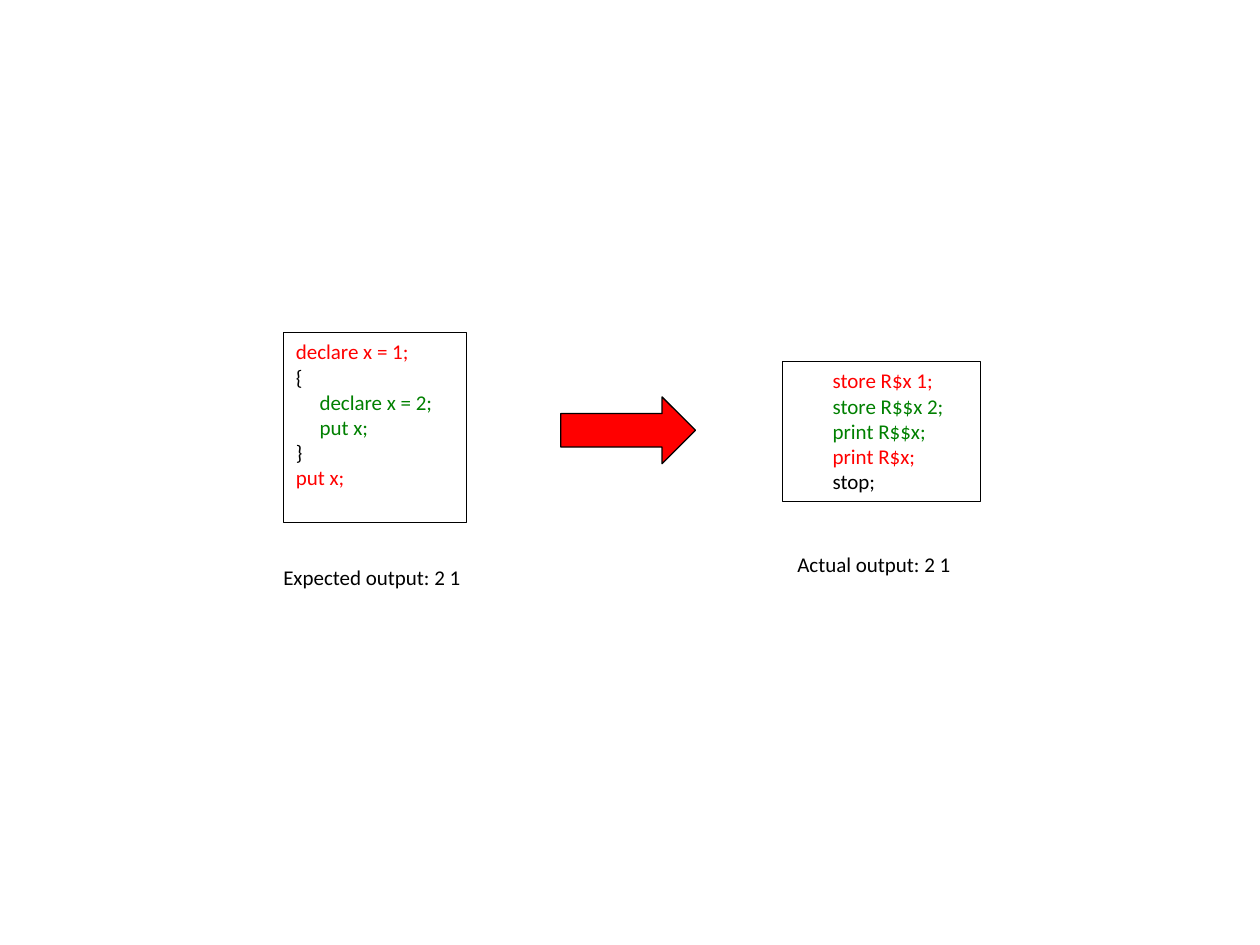
"""Build a slide showing a scoped program, its translation and both outputs."""
from pptx import Presentation
from pptx.dml.color import RGBColor
from pptx.enum.shapes import MSO_SHAPE as SHAPE
from pptx.enum.text import MSO_ANCHOR as ANCHOR, PP_ALIGN as ALIGN
from pptx.util import Inches, Pt

RED = RGBColor(0xFF, 0x00, 0x00)
GREEN = RGBColor(0x00, 0x80, 0x00)
BLACK = RGBColor(0x00, 0x00, 0x00)

prs = Presentation()
prs.slide_width, prs.slide_height = Inches(10), Inches(7.5)
W, H = prs.slide_width / 100, prs.slide_height / 100
s = prs.slides.add_slide(prs.slide_layouts[6])


def place(x, y, w, h):
    return int(x * W), int(y * H), int(w * W), int(h * H)


def write(sp, lines):
    tf = sp.text_frame
    tf.word_wrap = True
    tf.vertical_anchor = ANCHOR.TOP
    for i, (text, color) in enumerate(lines):
        p = tf.add_paragraph() if i else tf.paragraphs[0]
        p.alignment = ALIGN.LEFT
        r = p.add_run()
        r.text = text
        r.font.name, r.font.size = "Calibri", Pt(12)
        r.font.color.rgb = color


source = [
    ("declare x = 1;", RED),
    ("{", BLACK),
    ("     declare x = 2;", GREEN),
    ("     put x;", GREEN),
    ("}", BLACK),
    ("put x;", RED),
]
target = [
    ("        store R$x 1;", RED),
    ("        store R$$x 2;", GREEN),
    ("        print R$$x;", GREEN),
    ("        print R$x;", RED),
    ("        stop;", BLACK),
]

for kind, box, fill, lines in [
    (SHAPE.RECTANGLE, (22.5, 35.2, 14.5, 20.13), None, source),
    (SHAPE.RECTANGLE, (62.1, 38.27, 15.7, 14.8), None, target),
    (SHAPE.RIGHT_ARROW, (44.5, 42, 10.7, 7.07), RED, []),
]:
    sp = s.shapes.add_shape(kind, *place(*box))
    sp.shadow.inherit = False
    sp.line.color.rgb, sp.line.width = BLACK, Pt(0.75)
    if fill:
        sp.fill.solid()
        sp.fill.fore_color.rgb = fill
    else:
        sp.fill.background()
    write(sp, lines)

for text, box in [
    ("Expected output: 2 1", (21.5, 59.07, 17.3, 4)),
    ("Actual output: 2 1", (62.3, 57.73, 15, 4)),
]:
    write(s.shapes.add_textbox(*place(*box)), [(text, BLACK)])

prs.save("out.pptx")
